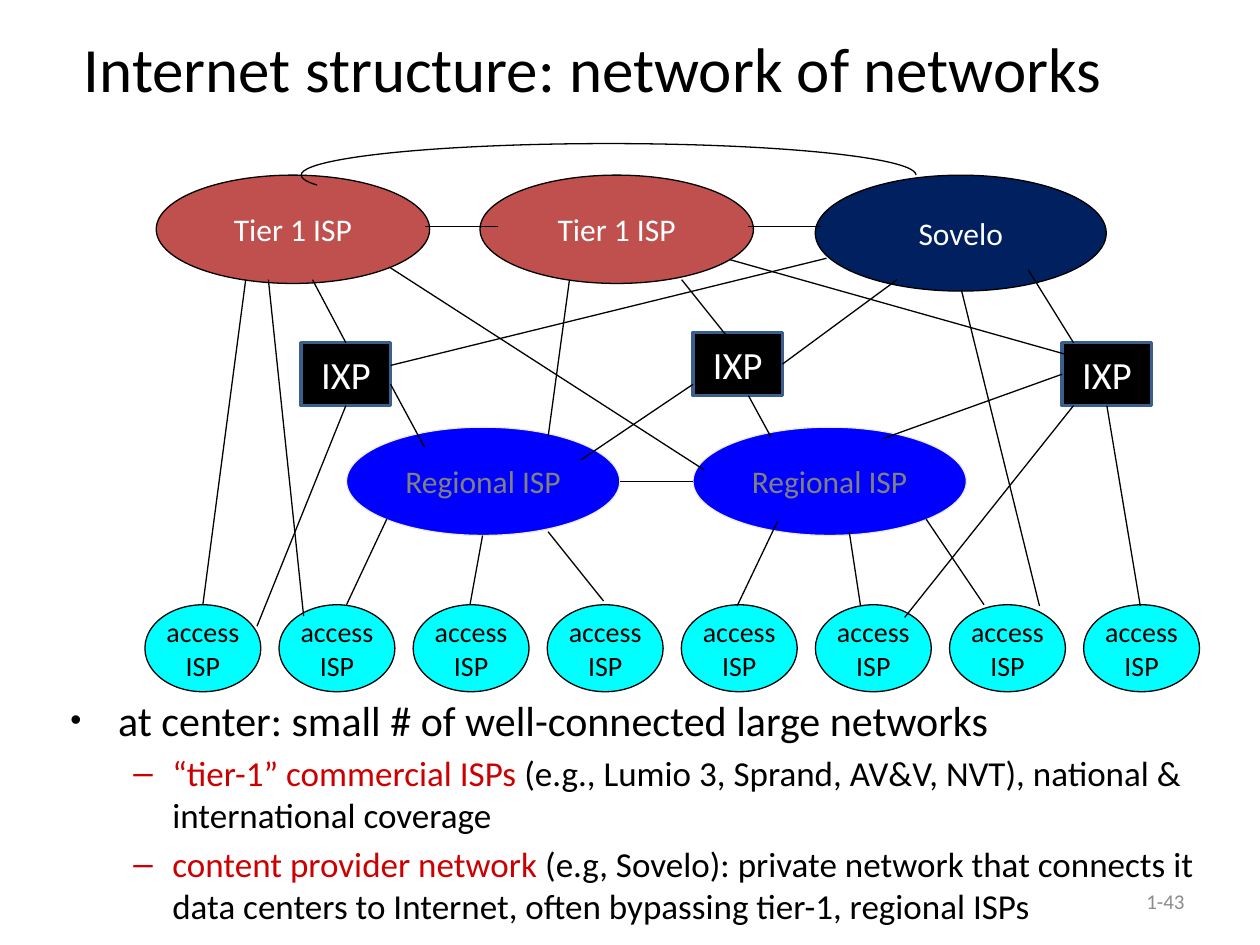
from lxml import etree
from pptx import Presentation
from pptx.dml.color import RGBColor
from pptx.enum.shapes import MSO_CONNECTOR as Link, MSO_SHAPE as Shape
from pptx.enum.text import MSO_ANCHOR as Anchor, PP_ALIGN as Align
from pptx.oxml.ns import qn
from pptx.util import Inches, Pt

FONT = "Calibri"
BLACK = RGBColor(0x00, 0x00, 0x00)
WHITE = RGBColor(0xFF, 0xFF, 0xFF)
RED = RGBColor(0xCC, 0x00, 0x00)
BRICK = RGBColor(0xC0, 0x50, 0x4D)
NAVY = RGBColor(0x00, 0x20, 0x60)
BLUE = RGBColor(0x00, 0x00, 0xFF)
CYAN = RGBColor(0x00, 0xFF, 0xFF)
STEEL = RGBColor(0x3A, 0x5F, 0x8C)
CREAM = RGBColor(0xEE, 0xEC, 0xE1)
GRAY = RGBColor(0x80, 0x80, 0x80)
PALE = RGBColor(0x8C, 0x8C, 0x8C)

TOP, LEFT, BOTTOM, RIGHT = range(4)
COUNT = 8
FIRST, LAST = 1.15, 8.6

LINES = [
    (1.95, 2.22, 1.61, 4.8), (3.83, 4.25, 3.73, 4.8),
    (3.07, 4.12, 2.75, 4.8), (2.13, 2.22, 2.41, 4.89),
    (4.35, 4.22, 4.79, 4.77), (5.5, 3.82, 4.92, 3.82),
    (6.17, 4.14, 5.85, 4.81), (6.74, 4.22, 6.83, 4.81),
    (7.35, 4.12, 7.81, 4.8), (7.63, 2.3, 8.25, 4.81),
    (3.95, 1.8, 3.37, 1.8), (6.52, 1.8, 5.94, 1.8),
    (8.16, 2.14, 8.52, 2.72), (3.1, 3.05, 3.37, 3.55),
    (6.56, 2.05, 3.1, 2.9), (5.41, 2.22, 5.85, 2.77),
    (4.52, 2.22, 4.35, 3.47), (5.94, 3.14, 6.12, 3.47),
    (5.5, 3.05, 4.61, 3.65), (3.09, 2.12, 5.59, 3.73),
    (8.52, 3.22, 7.18, 4.9), (5.79, 2.06, 8.45, 2.81),
]

JOINS = [
    (2.48, 2.22, 0, TOP), (2.04, 4.97, 0, BOTTOM),
    (7.12, 2.22, 1, RIGHT), (7.01, 3.48, 2, LEFT),
    (9.05, 4.81, 2, BOTTOM),
]

POINTS = [
    (24, 0.38, 0.38, "•", 75,
     [("at center: small # of well-connected large networks", BLACK)]),
    (20, 0.81, 0.31, "–", 100,
     [("“tier-1” commercial ISPs ", RED),
      ("(e.g., Lumio 3, Sprand, AV&V, NVT), national & "
       "international coverage", BLACK)]),
    (20, 0.81, 0.31, "–", 100,
     [("content provider network ", RED),
      ("(e.g, Sovelo): private network that connects it data centers "
       "to Internet, often bypassing tier-1, regional ISPs", BLACK)]),
]


def place(item, left, top, width, height):
    item.left, item.top = Inches(left), Inches(top)
    item.width, item.height = Inches(width), Inches(height)


def style(run, size, color):
    run.font.name = FONT
    run.font.size = Pt(size)
    run.font.color.rgb = color


def write(frame, text, size, color, align=Align.CENTER):
    frame.text = text
    frame.vertical_anchor = Anchor.MIDDLE
    for para in frame.paragraphs:
        para.alignment = align
        for run in para.runs:
            style(run, size, color)


def add_node(slide, kind, box, text, size, fill, color, edge=BLACK, width=0.75):
    node = slide.shapes.add_shape(kind, *map(Inches, box))
    node.shadow.inherit = False
    node.fill.solid()
    node.fill.fore_color.rgb = fill
    node.line.color.rgb = edge
    node.line.width = Pt(width)
    write(node.text_frame, text, size, color)
    node.text_frame.word_wrap = kind == Shape.RECTANGLE
    return node


def add_line(slide, *ends):
    line = slide.shapes.add_connector(Link.STRAIGHT, *map(Inches, ends))
    line.line.color.rgb = BLACK
    line.line.width = Pt(0.75)
    etree.SubElement(line._element.spPr, qn("a:effectLst"))
    return line


def add_join(slide, x, y, node, side):
    add_line(slide, x, y, x, y).end_connect(node, side)


def add_arc(slide):
    arc = slide.shapes.add_shape(
        Shape.ARC, Inches(2.39), Inches(1.14), Inches(4.88), Inches(0.5))
    arc.shadow.inherit = False
    arc.adjustments[0] = 106.82
    arc.adjustments[1] = 0
    arc.fill.background()
    arc.line.color.rgb = BLACK
    arc.line.width = Pt(0.75)


def set_bullet(para, mark, scale, left, hang):
    props = para._p.get_or_add_pPr()
    props.set("marL", str(Inches(left)))
    props.set("indent", str(-Inches(hang)))
    etree.SubElement(props, qn("a:buSzPct"), val=str(scale * 1000))
    etree.SubElement(props, qn("a:buFont"), typeface="Arial")
    etree.SubElement(props, qn("a:buChar"), char=mark)


def add_points(slide):
    box = slide.shapes.add_textbox(
        Inches(0.46), Inches(5.46), Inches(9.23), Inches(5.08))
    frame = box.text_frame
    frame.word_wrap = True
    for index, (size, left, hang, mark, scale, parts) in enumerate(POINTS):
        para = frame.add_paragraph() if index else frame.paragraphs[0]
        para.level = 1 if index else 0
        para.space_before = Pt(size * 0.2)
        set_bullet(para, mark, scale, left, hang)
        for text, color in parts:
            run = para.add_run()
            run.text = text
            style(run, size, color)


def add_title(slide):
    title = slide.shapes.title
    place(title, 0.28, 0.18, 8.85, 0.71)
    write(title.text_frame, "Internet structure: network of networks", 36, BLACK)


def add_number(slide):
    box = slide.shapes.add_textbox(
        Inches(7.17), Inches(6.95), Inches(2.33), Inches(0.4))
    box.text_frame.word_wrap = True
    write(box.text_frame, "1-43", 12, PALE, Align.RIGHT)


def add_nodes(slide):
    step = (LAST - FIRST) / (COUNT - 1)
    for index in range(COUNT):
        add_node(slide, Shape.OVAL, (FIRST + index * step, 4.8, 0.92, 0.69),
                 "access\nISP", 16, CYAN, BLACK)
    for left in (2.75, 5.5):
        add_node(slide, Shape.OVAL, (left, 3.39, 2.17, 0.86),
                 "Regional ISP", 18, BLUE, GRAY, CREAM)
    for left in (1.24, 3.81):
        add_node(slide, Shape.OVAL, (left, 1.39, 2.17, 0.86),
                 "Tier 1 ISP", 18, BRICK, WHITE)
    add_node(slide, Shape.OVAL, (6.47, 1.39, 2.31, 0.92),
             "Sovelo", 18, NAVY, WHITE)
    return [add_node(slide, Shape.RECTANGLE, (left, top, 0.71, 0.5),
                     "IXP", 22, BLACK, WHITE, STEEL, 2)
            for left, top in ((2.39, 2.72), (5.5, 2.64), (8.43, 2.72))]


def main():
    deck = Presentation()
    deck.slide_width, deck.slide_height = Inches(10), Inches(7.5)
    slide = deck.slides.add_slide(deck.slide_layouts[5])
    add_title(slide)
    add_points(slide)
    add_number(slide)
    hubs = add_nodes(slide)
    add_arc(slide)
    for ends in LINES:
        add_line(slide, *ends)
    for x, y, hub, side in JOINS:
        add_join(slide, x, y, hubs[hub], side)
    deck.save("out.pptx")


if __name__ == "__main__":
    main()
